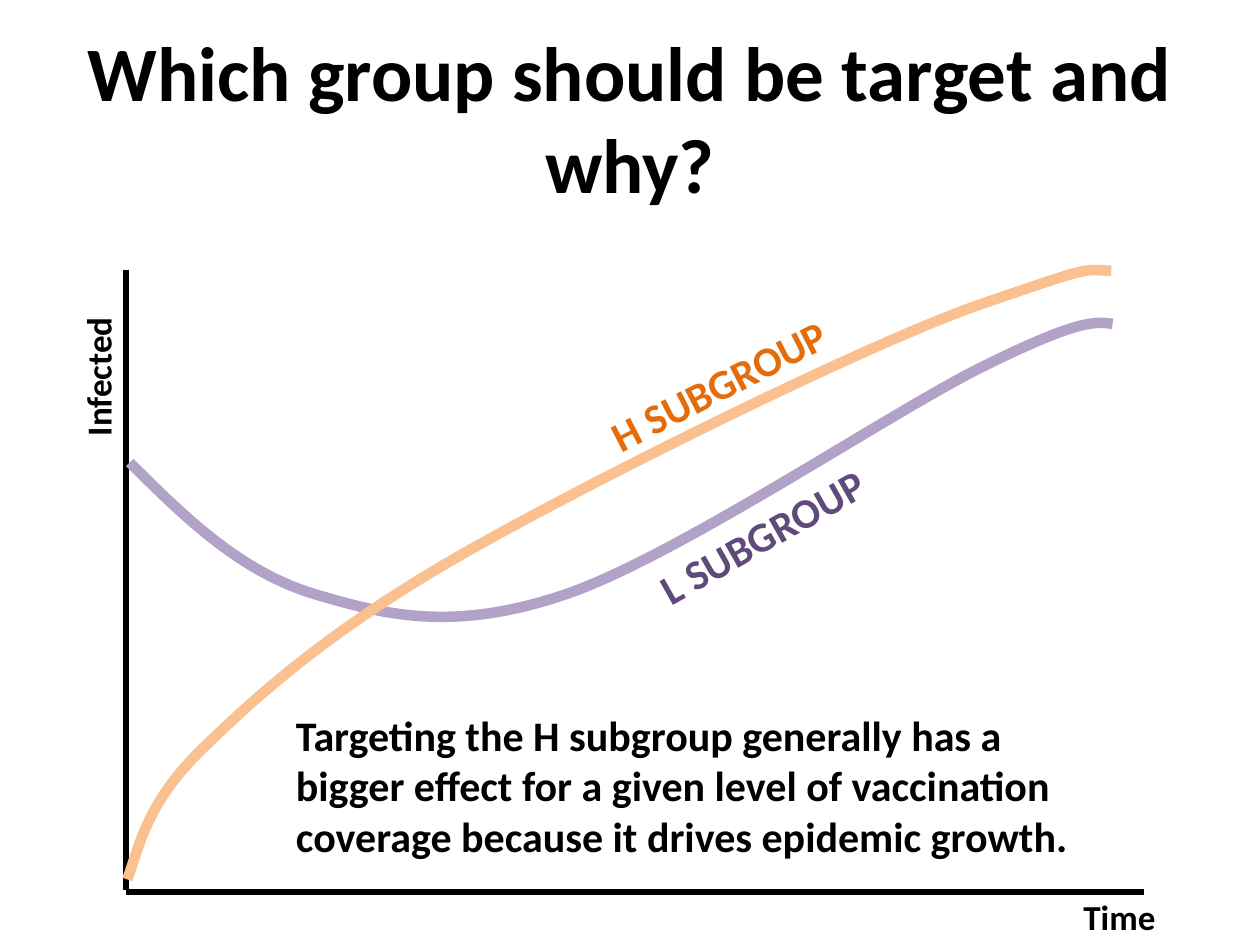
from pptx import Presentation
from pptx.dml.color import RGBColor
from pptx.enum.shapes import MSO_CONNECTOR
from pptx.enum.text import MSO_ANCHOR, MSO_AUTO_SIZE, PP_ALIGN
from pptx.oxml.ns import qn
from pptx.util import Inches, Pt
from lxml.etree import SubElement

BLACK = "000000"
L_CURVE = [
    (1.03, 3.67), (1.46, 4.1), (1.9, 4.53), (2.48, 4.71), (3.05, 4.88), (3.59, 5.02), (4.48, 4.72),
    (5.37, 4.42), (7.1, 3.25), (7.82, 2.9), (8.55, 2.54), (8.69, 2.55), (8.83, 2.57),
]
H_CURVE = [
    (1.01, 6.98), (1.11, 6.71), (1.16, 6.38), (1.6, 5.95), (2.04, 5.52), (2.62, 5), (3.65, 4.41),
    (4.68, 3.82), (6.86, 2.74), (7.77, 2.42), (8.68, 2.11), (8.57, 2.14), (8.82, 2.15),
]


def color(value):
    """Turn a hex string into a colour."""
    return RGBColor.from_string(value)


def write(para, text, size, fill):
    """Add one bold run to a paragraph."""
    span = para.add_run()
    span.text = text
    span.font.name = "Calibri"
    span.font.size = Pt(size)
    span.font.bold = True
    span.font.color.rgb = color(fill)


def set_title(slide, text):
    """Place and fill the title placeholder."""
    title = slide.shapes.title
    title.left, title.top = Inches(0.5), Inches(0.3)
    title.width, title.height = Inches(9), Inches(1.25)
    title.text_frame.vertical_anchor = MSO_ANCHOR.MIDDLE
    para = title.text_frame.paragraphs[0]
    para.alignment = PP_ALIGN.CENTER
    write(para, text, 44, BLACK)


def add_label(slide, text, place, size, fill=BLACK, rotation=0, wrap=False):
    """Add a text box that fits its text."""
    box = slide.shapes.add_textbox(*map(Inches, place))
    box.rotation = rotation
    box.text_frame.word_wrap = wrap
    box.text_frame.auto_size = MSO_AUTO_SIZE.SHAPE_TO_FIT_TEXT
    write(box.text_frame.paragraphs[0], text, size, fill)


def add_axis(slide, start, end):
    """Draw a straight axis line."""
    axis = slide.shapes.add_connector(MSO_CONNECTOR.STRAIGHT, *map(Inches, start + end))
    axis.line.color.rgb = color(BLACK)
    axis.line.width = Pt(3)
    SubElement(axis._element.spPr, qn("a:effectLst"))


def add_curve(slide, points, stroke):
    """Draw a Bezier curve from a start point and triples of control points."""
    start, *rest = [(Inches(x), Inches(y)) for x, y in points]
    builder = slide.shapes.build_freeform(*start)
    builder.add_line_segments(rest, close=False)
    curve = builder.convert_to_shape()
    curve.shadow.inherit = False
    curve.fill.background()
    curve.line.color.rgb = color(stroke)
    curve.line.width = Pt(6)
    outline = next(curve._element.iter(qn("a:path")))
    segments = outline.findall(qn("a:lnTo"))
    for first in range(0, len(segments), 3):
        bezier = SubElement(outline, qn("a:cubicBezTo"))
        for segment in segments[first:first + 3]:
            bezier.append(segment[0])
            outline.remove(segment)


def main():
    """Build the slide and save the deck."""
    deck = Presentation()
    deck.slide_width, deck.slide_height = Inches(10), Inches(7.5)
    page = deck.slides.add_slide(deck.slide_layouts[5])
    set_title(page, "Which group should be target and why?")
    add_axis(page, (1, 2.14), (1, 7.06))
    add_axis(page, (9.08, 7.08), (1, 7.08))
    add_label(page, "Time", (8.5, 7.06, 0.78, 0.44), 20)
    add_label(page, "Infected", (0.2, 2.76, 1.16, 0.44), 20, rotation=270)
    add_curve(page, L_CURVE, "B3A2C7")
    add_curve(page, H_CURVE, "FAC090")
    add_label(page, "H SUBGROUP", (4.67, 2.8, 2.08, 0.5), 24, "E46C0A", 332.8)
    add_label(page, "L SUBGROUP", (5.05, 4, 2.01, 0.5), 24, "604A7B", 330.5)
    add_label(
        page,
        "Targeting the H subgroup generally has a bigger effect for a given level of "
        "vaccination coverage because it drives epidemic growth.",
        (2.25, 5.58, 6.61, 1.31), 24, wrap=True,
    )
    deck.save("out.pptx")


if __name__ == "__main__":
    main()
